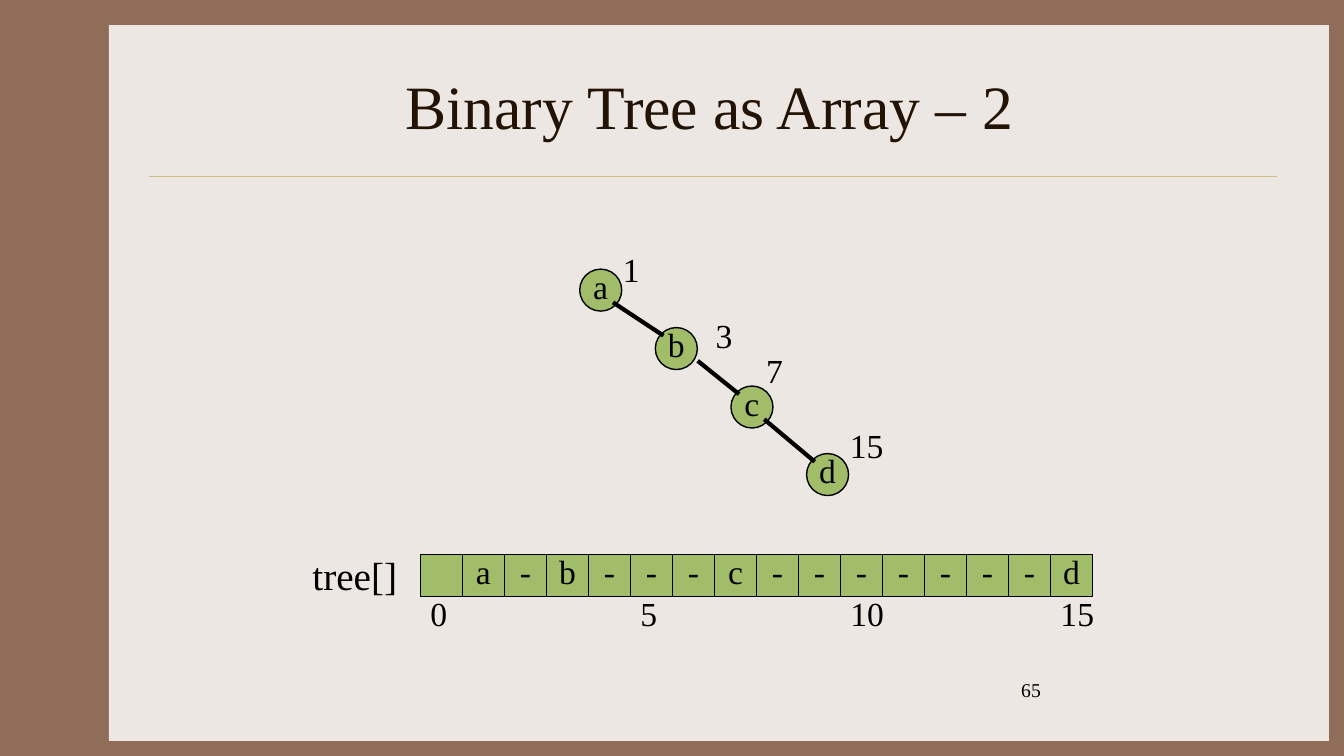
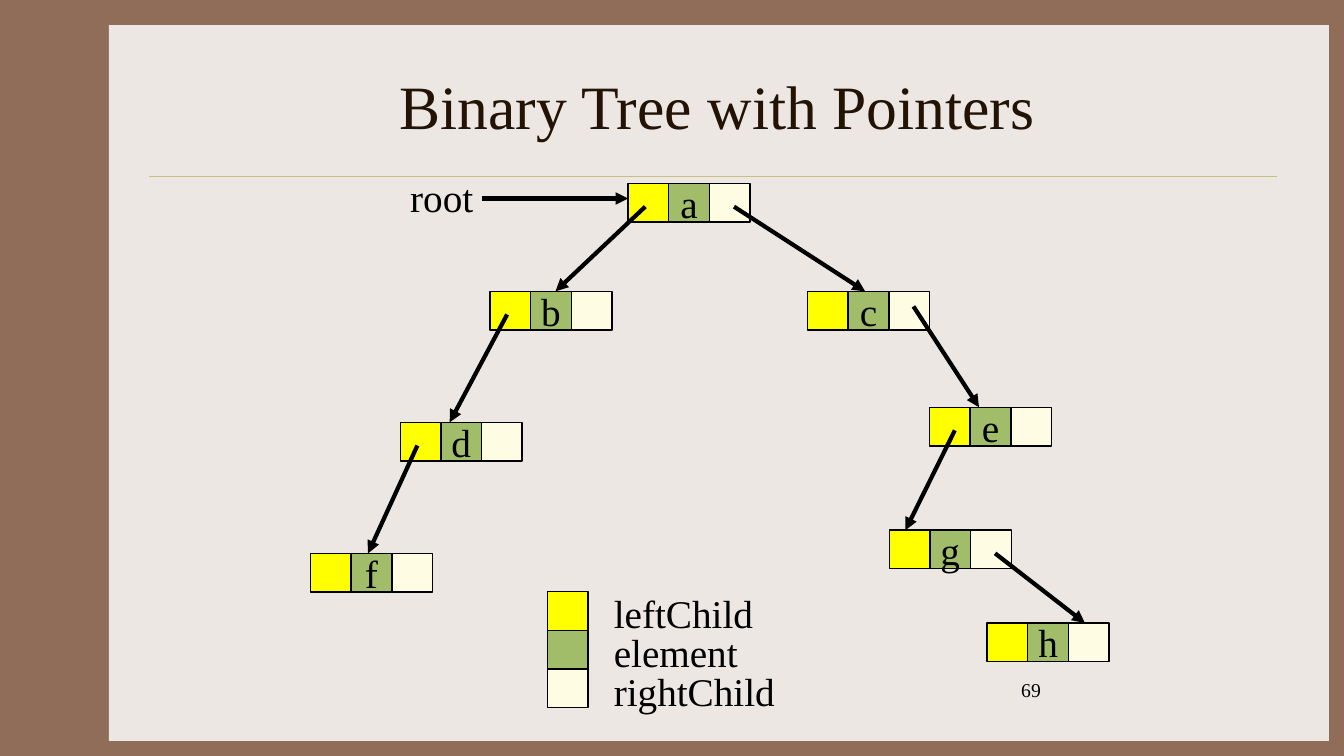
"""Build two slides that show a binary tree as an array and with pointers."""

from dataclasses import dataclass

from lxml.etree import SubElement
from pptx import Presentation
from pptx.dml.color import RGBColor
from pptx.enum.shapes import MSO_CONNECTOR, MSO_SHAPE
from pptx.enum.text import MSO_ANCHOR, PP_ALIGN
from pptx.oxml.ns import qn
from pptx.util import Inches, Pt

BROWN = RGBColor(0x90, 0x6D, 0x58)
PAPER = RGBColor(0xED, 0xE7, 0xE3)
GOLD = RGBColor(0xCB, 0xBD, 0x83)
UMBER = RGBColor(0x22, 0x13, 0x04)
BLACK = RGBColor(0x00, 0x00, 0x00)
GREEN = RGBColor(0xA1, 0xBD, 0x69)
YELLOW = RGBColor(0xFF, 0xFF, 0x00)
CREAM = RGBColor(0xFE, 0xFD, 0xE3)

FONT = "Times New Roman"
CELL = 5 / 12
FIELD_WIDTH = 1.21 / 3
FIELD_HEIGHT = 1.15 / 3
LETTER_LIFT = 0.08
LEFT_SLOT = (0.17, 0.23)
RIGHT_SLOT = (1.05, 0.23)


@dataclass(frozen=True)
class TreeNode:
    """A circle of the skewed tree with its array index."""

    letter: str
    left: float
    top: float
    index: str
    index_left: float
    index_top: float
    edge_start: float = 0.33


@dataclass(frozen=True)
class Pointer:
    """An arrow from a slot of the parent record to the top of the child."""

    parent: str
    child: str
    slot: tuple[float, float]
    landing: float


@dataclass(frozen=True)
class Field:
    """A part of a node record."""

    name: str
    color: RGBColor


TREE_NODES = (
    TreeNode("a", 5.75, 2.67, "1", 6.08, 2.42),
    TreeNode("b", 6.5, 3.25, "3", 7, 3.08, edge_start=0.42),
    TreeNode("c", 7.25, 3.83, "7", 7.5, 3.42),
    TreeNode("d", 8, 4.5, "15", 8.33, 4.17),
)
ARRAY_VALUES = ("", *"a-b---c-------d")
FIELDS = (Field("leftChild", YELLOW), Field("element", GREEN), Field("rightChild", CREAM))
RECORDS = {
    "a": (6.23, 1.82),
    "b": (4.86, 2.89),
    "c": (8.01, 2.89),
    "d": (3.97, 4.19),
    "e": (9.22, 4.04),
    "f": (3.08, 5.49),
    "g": (8.82, 5.26),
    "h": (9.79, 6.18),
}
POINTERS = (
    Pointer("a", "b", LEFT_SLOT, 0.65),
    Pointer("a", "c", RIGHT_SLOT, 0.57),
    Pointer("b", "d", LEFT_SLOT, 0.49),
    Pointer("d", "f", LEFT_SLOT, 0.57),
    Pointer("c", "e", (1.05, 0.15), 0.49),
    Pointer("e", "g", (0.25, 0.23), 0.16),
    Pointer("g", "h", RIGHT_SLOT, 0.97),
)


def apply(target, formats: dict) -> None:
    """Set each attribute named in formats on target."""
    for attribute, value in formats.items():
        setattr(target, attribute, value)


def write(frame, text: str, size: float, color: RGBColor = BLACK) -> None:
    """Put one formatted line of text into a text frame."""
    paragraph = frame.paragraphs[0]
    run = paragraph.add_run()
    run.text = text
    apply(run.font, {"name": FONT, "size": Pt(size)})
    run.font.color.rgb = color


def add_label(slide, text: str, left: float, top: float, width: float, size: float = 24) -> None:
    """Add a left-aligned text box."""
    height = 0.57 if size == 28 else 0.5
    box = slide.shapes.add_textbox(Inches(left), Inches(top), Inches(width), Inches(height))
    box.text_frame.word_wrap = True
    write(box.text_frame, text, size)


def add_block(
    slide,
    left: float,
    top: float,
    width: float,
    height: float,
    fill: RGBColor,
    letter: str = "",
    size: float = 24,
    lift: float = 0,
    kind: MSO_SHAPE = MSO_SHAPE.RECTANGLE,
    outlined: bool = True,
) -> None:
    """Add a filled shape with an optional centred letter."""
    block = slide.shapes.add_shape(kind, Inches(left), Inches(top), Inches(width), Inches(height))
    block.shadow.inherit = False
    block.fill.solid()
    block.fill.fore_color.rgb = fill
    if outlined:
        block.line.color.rgb = BLACK
        block.line.width = Pt(1)
    else:
        block.line.fill.background()
    if letter:
        frame = block.text_frame
        apply(frame, {
            "margin_left": 0,
            "margin_right": 0,
            "margin_top": 0,
            "margin_bottom": Inches(lift),
            "vertical_anchor": MSO_ANCHOR.MIDDLE,
        })
        frame.paragraphs[0].alignment = PP_ALIGN.CENTER
        write(frame, letter, size)


def add_line(
    slide,
    start: tuple[float, float],
    end: tuple[float, float],
    color: RGBColor = BLACK,
    width: float = 3,
    arrow: bool = False,
) -> None:
    """Add a straight line, with an arrowhead at its end if asked."""
    points = [Inches(value) for value in (*start, *end)]
    line = slide.shapes.add_connector(MSO_CONNECTOR.STRAIGHT, *points)
    line.line.color.rgb = color
    line.line.width = Pt(width)
    properties = line.element.spPr
    if arrow:
        SubElement(properties.find(qn("a:ln")), qn("a:tailEnd"), type="triangle")
    SubElement(properties, qn("a:effectLst"))


def add_titled_slide(deck, title_text: str, number: str):
    """Add a slide with the shared panel, rule, title and page number."""
    slide = deck.slides.add_slide(deck.slide_layouts[5])
    add_block(slide, 1.08, 0.25, 12.1, 7.1, PAPER, outlined=False)
    add_line(slide, (1.48, 1.75), (12.67, 1.75), GOLD, 0.25)
    title = slide.shapes.title
    apply(title, {
        "left": Inches(1.56),
        "top": Inches(0.42),
        "width": Inches(11.11),
        "height": Inches(1.25),
    })
    slide.shapes.element.append(title.element)
    title.text_frame.vertical_anchor = MSO_ANCHOR.MIDDLE
    title.text_frame.paragraphs[0].alignment = PP_ALIGN.CENTER
    write(title.text_frame, title_text, 44, UMBER)
    add_label(slide, number, 10.03, 6.68, 2.78, size=14)
    return slide


def draw_array_slide(deck) -> None:
    """Draw the skewed tree above its array."""
    slide = add_titled_slide(deck, "Binary Tree as Array – 2 ", "65")
    array_left, array_top = 4.17, 5.5
    add_label(slide, "tree[]", 3, 5.42, 1.25, size=28)
    for position, value in enumerate(ARRAY_VALUES):
        left = array_left + position * CELL
        add_block(slide, left, array_top, CELL, CELL, GREEN, value, lift=LETTER_LIFT)
        if position % 5 == 0:
            add_label(slide, str(position), left, 5.83, 0.67)
    for node in TREE_NODES:
        add_block(slide, node.left, node.top, CELL, CELL, GREEN, node.letter,
                  lift=LETTER_LIFT, kind=MSO_SHAPE.OVAL)
        add_label(slide, node.index, node.index_left, node.index_top, 0.75)
    for parent, child in zip(TREE_NODES, TREE_NODES[1:]):
        start = (parent.left + parent.edge_start, parent.top + 0.33)
        add_line(slide, start, (child.left + 0.08, child.top + 0.08))


def draw_pointer_slide(deck) -> None:
    """Draw the linked records, their pointers and the legend."""
    slide = add_titled_slide(deck, "Binary Tree with Pointers", "69")
    for letter, (left, top) in RECORDS.items():
        for column, field in enumerate(FIELDS):
            text = letter if field.name == "element" else ""
            add_block(slide, left + column * FIELD_WIDTH, top, FIELD_WIDTH, FIELD_HEIGHT,
                      field.color, text, size=28)
    for pointer in POINTERS:
        parent_left, parent_top = RECORDS[pointer.parent]
        child_left, child_top = RECORDS[pointer.child]
        start = (parent_left + pointer.slot[0], parent_top + pointer.slot[1])
        add_line(slide, start, (child_left + pointer.landing, child_top), arrow=True)
    for row, field in enumerate(FIELDS):
        top = 5.87 + row * FIELD_HEIGHT
        add_block(slide, 5.43, top, FIELD_WIDTH, FIELD_HEIGHT, field.color)
        add_label(slide, field.name, 5.99, top - 0.07, 2.83, size=28)
    add_label(slide, "root", 3.97, 1.67, 0.97, size=28)
    add_line(slide, (4.78, 1.97), (6.23, 1.97), arrow=True)


def main() -> None:
    """Build and save the deck."""
    deck = Presentation()
    apply(deck, {"slide_width": Inches(13.33), "slide_height": Inches(7.5)})
    backdrop = deck.slide_master.background.fill
    backdrop.solid()
    backdrop.fore_color.rgb = BROWN
    draw_array_slide(deck)
    draw_pointer_slide(deck)
    deck.save("out.pptx")


if __name__ == "__main__":
    main()
